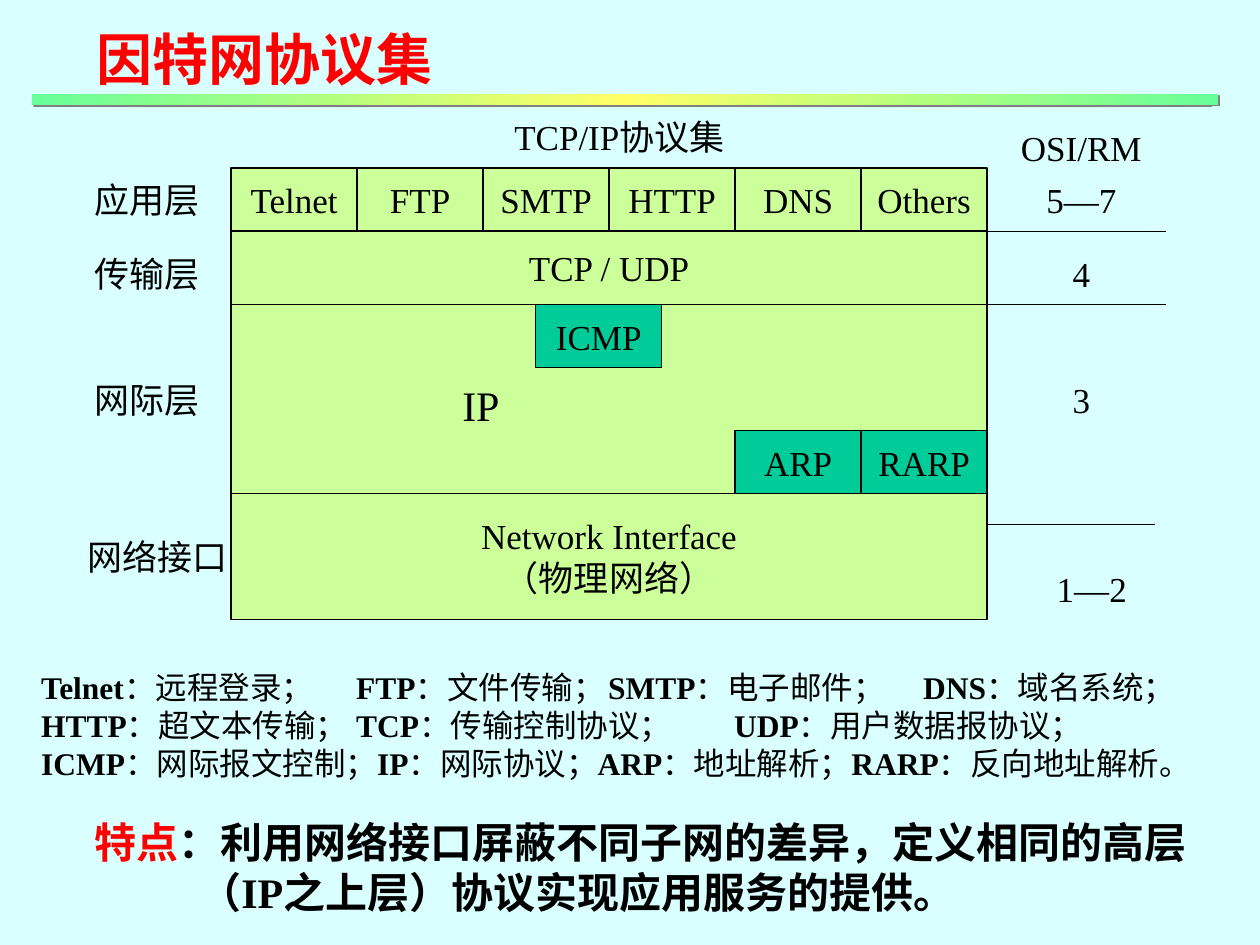
from copy import deepcopy

from lxml import etree
from pptx import Presentation
from pptx.dml.color import RGBColor
from pptx.enum.shapes import MSO_CONNECTOR, MSO_SHAPE
from pptx.enum.text import MSO_ANCHOR, MSO_AUTO_SIZE, PP_ALIGN
from pptx.oxml.ns import qn
from pptx.util import Cm, Pt

RECT = MSO_SHAPE.RECTANGLE
STRAIGHT = MSO_CONNECTOR.STRAIGHT
TOP, MIDDLE = MSO_ANCHOR.TOP, MSO_ANCHOR.MIDDLE
LEFT, CENTER = PP_ALIGN.LEFT, PP_ALIGN.CENTER

THEME = {
    "font": "Times New Roman",
    "bg": RGBColor.from_string("D9FFFF"),
    "text": RGBColor.from_string("000000"),
    "accent": RGBColor.from_string("FF0000"),
    "layer": RGBColor.from_string("CCFF99"),
    "protocol": RGBColor.from_string("00CC99"),
    "bar": [RGBColor.from_string(c) for c in ("66FF99", "FFFF66", "66FF99")],
    "shadow": "808080",
    "title": Pt(32),
    "large": Pt(24),
    "label": Pt(20),
    "legend": Pt(18),
    "line": Pt(0.75),
}
FRAME = {"word_wrap": False, "auto_size": MSO_AUTO_SIZE.NONE,
         "margin_left": Cm(0.25), "margin_right": Cm(0.25),
         "margin_top": Cm(0.13), "margin_bottom": Cm(0.13)}


def write(sp, lines, size, anchor=MIDDLE, align=CENTER):
    tf = sp.text_frame
    for name, value in {**FRAME, "vertical_anchor": anchor}.items():
        setattr(tf, name, value)
    for i, runs in enumerate(lines):
        p = tf.paragraphs[0] if i == 0 else tf.add_paragraph()
        p.alignment, p.space_before = align, Pt(0)
        for text, bold, color in runs:
            r = p.add_run()
            r.text = text
            font = {"name": THEME["font"], "size": size, "bold": bold}
            for name, value in font.items():
                setattr(r.font, name, value)
            r.font.color.rgb = THEME[color]


def add_box(x, y, w, h, fill):
    sp = s.shapes.add_shape(RECT, Cm(x), Cm(y), Cm(w), Cm(h))
    sp.shadow.inherit = False
    sp.fill.solid()
    sp.fill.fore_color.rgb = THEME[fill]
    sp.line.color.rgb = THEME["text"]
    sp.line.width = THEME["line"]
    return sp


prs = Presentation()
prs.slide_width, prs.slide_height = Cm(25.4), Cm(19.05)
s = prs.slides.add_slide(prs.slide_layouts[1])
s.background.fill.solid()
s.background.fill.fore_color.rgb = THEME["bg"]

title, legend = s.placeholders
for sp, place in ((title, (1.69, 0.36, 7.3, 1.62)), (legend, (0.58, 13.34, 24.74, 2.54))):
    sp.left, sp.top, sp.width, sp.height = map(Cm, place)
write(title, [[("因特网协议集", True, "accent")]], THEME["title"], TOP, LEFT)

X, COL, ROW = 4.66, 2.54, 1.27
WIDTH = 6 * COL
APP, TRANSPORT, INTERNET, NETWORK = 3.39, 4.66, 6.14, 9.95
RIGHT = X + WIDTH

boxes = [(X + i * COL, APP, COL, ROW, "layer", [name])
         for i, name in enumerate(("Telnet", "FTP", "SMTP", "HTTP", "DNS", "Others"))]
boxes += [
    (X, TRANSPORT, WIDTH, INTERNET - TRANSPORT, "layer", ["TCP / UDP"]),
    (X, INTERNET, WIDTH, NETWORK - INTERNET, "layer", []),
    (X, NETWORK, WIDTH, COL, "layer", ["Network Interface", "（物理网络）"]),
    (X + 4 * COL, NETWORK - ROW, COL, ROW, "protocol", ["ARP"]),
    (X + 5 * COL, NETWORK - ROW, COL, ROW, "protocol", ["RARP"]),
    (10.8, INTERNET, COL, ROW, "protocol", ["ICMP"]),
]
for x, y, w, h, fill, lines in boxes:
    sp = add_box(x, y, w, h, fill)
    write(sp, [[(line, False, "text")] for line in lines], THEME["label"])

labels = [
    (1.69, APP, COL, "应用层"), (1.69, 4.87, COL, "传输层"),
    (1.69, 7.41, COL, "网际层"), (1.91, 10.58, COL, "网络接口"),
    (20.53, 2.33, COL, "OSI/RM"), (20.53, APP, COL, "5—7"),
    (20.53, 4.87, COL, "4"), (20.53, 7.41, COL, "3"), (20.74, 11.22, COL, "1—2"),
    (10.16, 2.12, 4.66, "TCP/IP协议集"),
]
for x, y, w, text in labels:
    sp = s.shapes.add_textbox(Cm(x), Cm(y), Cm(w), Cm(ROW))
    write(sp, [[(text, False, "text")]], THEME["label"])

sp = s.shapes.add_textbox(Cm(9.07), Cm(7.52), Cm(1.24), Cm(ROW))
write(sp, [[("IP", False, "text")]], THEME["large"], TOP, LEFT)

for y, end in ((TRANSPORT, 23.5), (INTERNET, 23.5), (10.58, 23.28)):
    sp = s.shapes.add_connector(STRAIGHT, Cm(RIGHT), Cm(y), Cm(end), Cm(y))
    sp.line.color.rgb = THEME["text"]
    sp.line.width = THEME["line"]
    etree.SubElement(sp.element.spPr, qn("a:effectLst"))

terms = [
    [("Telnet", "：远程登录；"), ("FTP", "：文件传输；"), ("SMTP", "：电子邮件；"), ("DNS", "：域名系统；")],
    [("HTTP", "：超文本传输；"), ("TCP", "：传输控制协议；"), ("UDP", "：用户数据报协议；")],
    [("ICMP", "：网际报文控制；"), ("IP", "：网际协议；"), ("ARP", "：地址解析；"), ("RARP", "：反向地址解析。")],
]
stops = [(6.2, 11.94, 18.4), (7.06, 14.68), ()]
lines = []
for row, tabs in zip(terms, stops):
    runs = []
    for i, (term, meaning) in enumerate(row):
        gap = "\t" if i < len(tabs) else ""
        runs += [(term, True, "text"), (meaning + gap, False, "text")]
    lines.append(runs)
write(legend, lines, THEME["legend"], TOP, LEFT)
for p, tabs in zip(legend.text_frame.paragraphs, stops):
    pPr = p._p.get_or_add_pPr()
    pPr.set("marL", "0")
    pPr.set("indent", "0")
    etree.SubElement(pPr, qn("a:buNone"))
    if tabs:
        tabLst = etree.SubElement(pPr, qn("a:tabLst"))
        for pos in tabs:
            etree.SubElement(tabLst, qn("a:tab"), pos=str(Cm(pos)), algn="l")

sp = s.shapes.add_textbox(Cm(1.65), Cm(16.33), Cm(22.5), Cm(2.29))
write(sp, [
    [("特点", True, "accent"), ("：利用网络接口屏蔽不同子网的差异，定义相同的高层", True, "text")],
    [("（IP之上层）协议实现应用服务的提供。", True, "text")],
], THEME["large"], TOP, LEFT)
sp.text_frame.paragraphs[1]._p.get_or_add_pPr().set("marL", str(Cm(2.12)))

bar = s.shapes.add_shape(RECT, Cm(0.64), Cm(1.9), Cm(23.92), Cm(0.21))
bar.line.fill.background()
bar.fill.gradient()
bar.fill.gradient_angle = 315
gsLst = bar.element.spPr.find(qn("a:gradFill")).find(qn("a:gsLst"))
gsLst.append(deepcopy(gsLst[0]))
for i, (stop, color) in enumerate(zip(bar.fill.gradient_stops, THEME["bar"])):
    stop.position = i / 2
    stop.color.rgb = color
bar.shadow.inherit = False
effects = bar.element.spPr.find(qn("a:effectLst"))
shadow = etree.SubElement(effects, qn("a:outerShdw"), dist=str(Pt(1.4)), dir="2700000", algn="ctr", rotWithShape="0")
etree.SubElement(shadow, qn("a:srgbClr"), val=THEME["shadow"])

prs.save("out.pptx")
